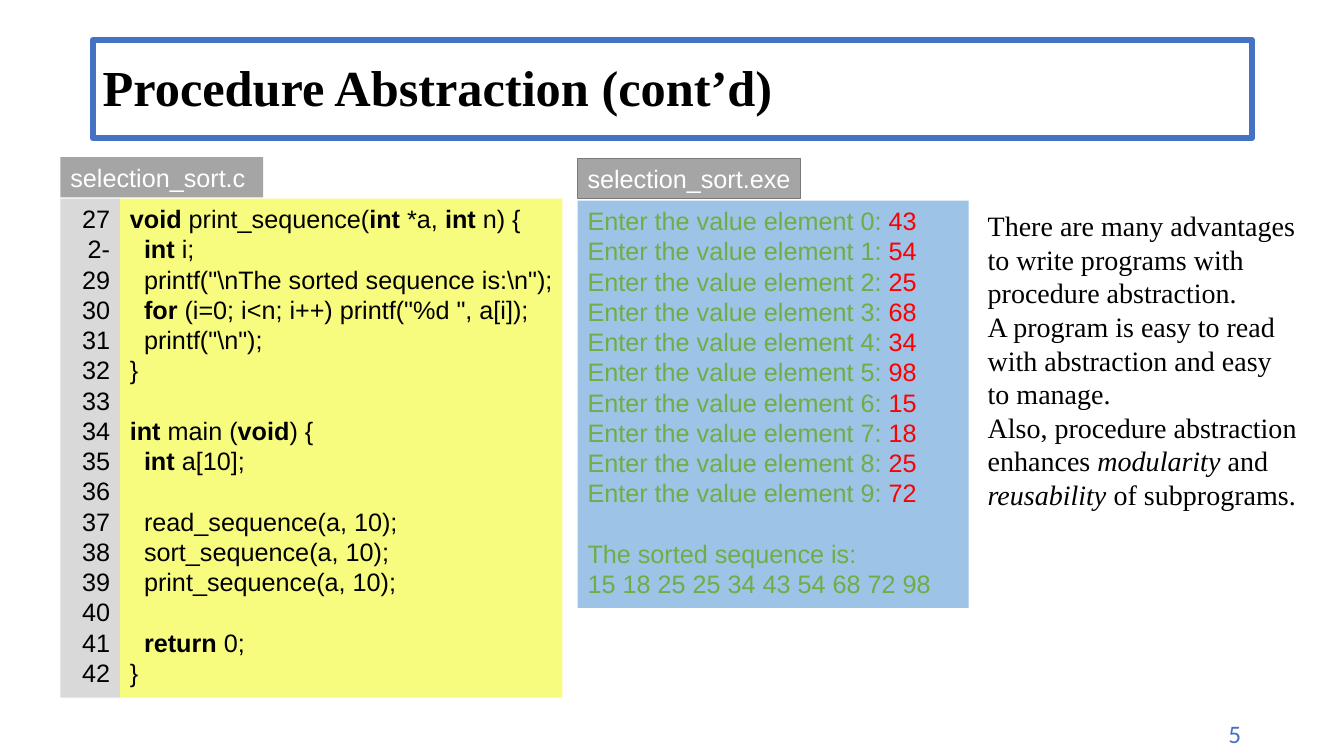
import pptx
import pptx.dml.color
import pptx.enum.shapes
import pptx.enum.text
import pptx.util

RGB = pptx.dml.color.RGBColor
ALIGN = pptx.enum.text.PP_ALIGN
ANCHOR = pptx.enum.text.MSO_ANCHOR
RECT = pptx.enum.shapes.MSO_SHAPE.RECTANGLE
Pt = pptx.util.Pt

BLACK = RGB(0x00, 0x00, 0x00)
WHITE = RGB(0xFF, 0xFF, 0xFF)
BLUE = RGB(0x44, 0x72, 0xC4)
SKY = RGB(0x9D, 0xC3, 0xE6)
GRAY = RGB(0xA5, 0xA5, 0xA5)
EDGE = RGB(0x7A, 0x7A, 0x7A)
PALE = RGB(0xD9, 0xD9, 0xD9)
YELLOW = RGB(0xF7, 0xFC, 0x7E)
GREEN = RGB(0x70, 0xAD, 0x47)
RED = RGB(0xFF, 0x00, 0x00)

UNIT = 0.1  # one grid column or row, in inches
LEAD = 1.2  # line pitch as a share of the text size

SANS = {"name": "Arial", "size": Pt(18)}
SERIF = {"name": "Times New Roman", "size": Pt(20)}
HEAD = {"name": "Times New Roman", "size": Pt(36), "bold": True}
FOOT = {"name": "Calibri", "size": Pt(18)}

CODE = r"""`void` print_sequence(`int` *a, `int` n) {
  `int` i;
  printf("\nThe sorted sequence is:\n");
  `for` (i=0; i<n; i++) printf("%d ", a[i]);
  printf("\n");
}

`int` main (`void`) {
  `int` a[10];

  read_sequence(a, 10);
  sort_sequence(a, 10);
  print_sequence(a, 10);

  `return` 0;
}"""
INPUT = [43, 54, 25, 68, 34, 98, 15, 18, 25, 72]
NOTES = """There are many advantages to write programs with procedure abstraction.
A program is easy to read with abstraction and easy to manage.
Also, procedure abstraction enhances `modularity` and `reusability` of subprograms."""


def grid(count):
    return pptx.util.Inches(count * UNIT)


def box(shapes, place, fill=None, line=None, width=1):
    """Add a flat rectangle; place is left, top, width, height on the grid."""
    shape = shapes.add_shape(RECT, *map(grid, place))
    shape.shadow.inherit = False
    for part, color in ((shape.fill, fill), (shape.line.fill, line)):
        if color is None:
            part.background()
        else:
            part.solid()
            part.fore_color.rgb = color
    if line is not None:
        shape.line.width = Pt(width)
    return shape


def write(shape, text, style, color=BLACK, mark=None, tint=None,
          align=ALIGN.LEFT, anchor=ANCHOR.TOP, right=1, lead=LEAD):
    """Fill a shape line by line; words in backticks also get mark and tint."""
    frame = shape.text_frame
    setup = {"word_wrap": True, "vertical_anchor": anchor,
             "margin_right": grid(right)}
    for key, value in setup.items():
        setattr(frame, key, value)
    pitch = Pt(style["size"].pt * lead)
    para, gap = frame.paragraphs[0], 0
    for count, line in enumerate(text.split("\n")):
        if not line:
            gap += pitch
            continue
        if count:
            para = frame.add_paragraph()
        form = {"alignment": align, "line_spacing": pitch, "space_before": gap}
        for key, value in form.items():
            setattr(para, key, value)
        gap = 0
        bare = line.lstrip()
        if bare != line:
            para._p.get_or_add_pPr().set("marL", str(grid(1.4)))
        for turn, piece in enumerate(bare.split("`")):
            if not piece:
                continue
            run = para.add_run()
            run.text = piece
            marked = turn % 2 == 1
            look = {**style, **(mark or {})} if marked else style
            for key, value in look.items():
                setattr(run.font, key, value)
            run.font.color.rgb = tint if marked and tint else color


def code(shapes):
    tab = box(shapes, (6, 15.6, 20.1, 4), GRAY)
    write(tab, "selection_sort.c", SANS, WHITE, right=0)
    body = box(shapes, (11.9, 19.7, 43.9, 49.5), YELLOW)
    write(body, CODE, SANS, mark={"bold": True}, right=0)
    rail = box(shapes, (6, 19.7, 5.9, 49.5), PALE)
    marks = ["2-" if num == 28 else str(num) for num in range(27, 43)]
    write(rail, "\n".join(marks), SANS, align=ALIGN.RIGHT)


def output(shapes):
    lines = [f"Enter the value element {num}: `{value}`"
             for num, value in enumerate(INPUT)]
    lines += ["", "The sorted sequence is:", " ".join(map(str, sorted(INPUT)))]
    body = box(shapes, (57.3, 19.9, 38.8, 40.4), SKY)
    write(body, "\n".join(lines), SANS, GREEN, tint=RED)
    tab = box(shapes, (57.3, 15.7, 22.1, 4), GRAY, EDGE)
    write(tab, "selection_sort.exe", SANS, WHITE, right=0)


def main():
    deck = pptx.Presentation()
    deck.slide_width, deck.slide_height = grid(133.33), grid(75)
    shapes = deck.slides.add_slide(deck.slide_layouts[6]).shapes

    page = shapes.add_textbox(*map(grid, (108.4, 70.8, 15.7, 4)))
    write(page, "5", FOOT, BLUE, align=ALIGN.RIGHT)
    title = box(shapes, (9.2, 4, 115, 9.7), line=BLUE, width=4.5)
    write(title, "Procedure Abstraction (cont’d)", HEAD,
          anchor=ANCHOR.MIDDLE, lead=1.08)
    code(shapes.add_group_shape().shapes)
    output(shapes.add_group_shape().shapes)
    notes = shapes.add_textbox(*map(grid, (97, 20.2, 32.7, 31.3)))
    write(notes, NOTES, SERIF, mark={"italic": True})

    deck.save("out.pptx")


if __name__ == "__main__":
    main()
